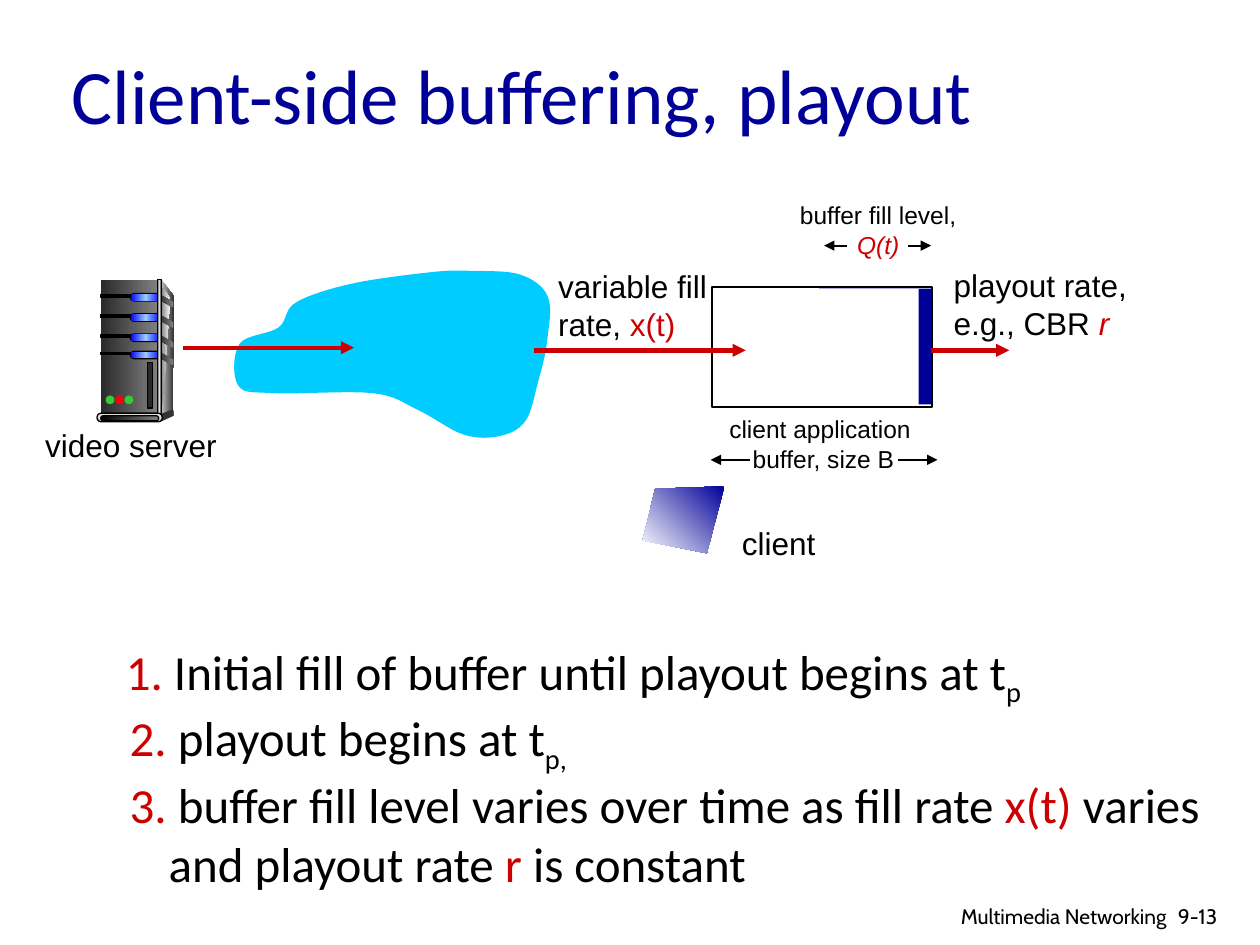
from lxml import etree
from pptx import Presentation
from pptx.dml import color
from pptx.enum import shapes, text
from pptx.oxml import ns
from pptx.util import Pt

RED, NAVY, BLACK, WHITE = "CC0000", "000099", "000000", "FFFFFF"
DARK, GRAY, PALE = "292929", "808080", "DDDDDD"
RECT = shapes.MSO_SHAPE.RECTANGLE
PILL = shapes.MSO_SHAPE.ROUNDED_RECTANGLE
OVAL = shapes.MSO_SHAPE.OVAL
LEFT, MID, RIGHT = text.PP_ALIGN.LEFT, text.PP_ALIGN.CENTER, text.PP_ALIGN.RIGHT


def rgb(code):
    return color.RGBColor.from_string(code)


def paint(part, fill=None, line=None, width=0.75, angle=0):
    """Fill with one colour, or a list of evenly spaced gradient colours."""
    part.shadow.inherit = False
    if fill is None:
        part.fill.background()
    elif isinstance(fill, str):
        part.fill.solid()
        part.fill.fore_color.rgb = rgb(fill)
    else:
        part.fill.gradient()
        part.fill.gradient_angle = angle
        stops = next(part._element.iter(ns.qn("a:gsLst")))
        for stop in list(stops):
            stops.remove(stop)
        for i, code in enumerate(fill):
            stop = etree.SubElement(stops, ns.qn("a:gs"), pos=str(i * 100000 // (len(fill) - 1)))
            etree.SubElement(stop, ns.qn("a:srgbClr"), val=code)
    if line:
        part.line.color.rgb = rgb(line)
        part.line.width = Pt(width)
    else:
        part.line.fill.background()


def block(slide, kind, x, y, w, h, fill=None, line=None, width=0.75):
    part = slide.shapes.add_shape(kind, Pt(x), Pt(y), Pt(w), Pt(h))
    if kind == PILL:
        part.adjustments[0] = 0.5
    paint(part, fill, line, width)


def outline(slide, x, y, dots, fill, angle=0):
    dots = [(Pt(x + a), Pt(y + b)) for a, b in dots]
    pen = slide.shapes.build_freeform(*dots[0])
    pen.add_line_segments(dots[1:], close=True)
    paint(pen.convert_to_shape(), fill, angle=angle)


def arrow(slide, x, end, y, code=RED, width=2.5):
    line = slide.shapes.add_connector(shapes.MSO_CONNECTOR.STRAIGHT, Pt(x), Pt(y), Pt(end), Pt(y))
    line.line.color.rgb = rgb(code)
    line.line.width = Pt(width)
    etree.SubElement(line.line._get_or_add_ln(), ns.qn("a:tailEnd"), type="triangle")
    etree.SubElement(line._element.spPr, ns.qn("a:effectLst"))


def label(slide, box, paras, size=18, font="Arial", align=LEFT, wrap=False, hang=0):
    """Each paragraph is a list of runs: (words, colour, style); hang indents the last one."""
    part = slide.shapes.add_textbox(*map(Pt, box))
    frame = part.text_frame
    frame.word_wrap = wrap
    frame.auto_size = text.MSO_AUTO_SIZE.SHAPE_TO_FIT_TEXT
    for i, runs in enumerate(paras):
        para = frame.add_paragraph() if i else frame.paragraphs[0]
        para.alignment = align
        if hang and i == len(paras) - 1:
            props = para._p.get_or_add_pPr()
            props.set("marL", str(Pt(hang)))
            props.set("indent", str(-Pt(hang)))
        for words, code, *style in runs:
            run = para.add_run()
            run.text = words
            run.font.size, run.font.name = Pt(size), font
            run.font.color.rgb = rgb(code)
            if "italic" in style:
                run.font.italic = True
            if "sub" in style:
                run._r.get_or_add_rPr().set("baseline", "-25000")
    return frame


def title(slide, box):
    frame = label(slide, box, [[("Client-side buffering, playout", NAVY)]], 44, "Calibri", wrap=True)
    frame.auto_size = text.MSO_AUTO_SIZE.NONE
    frame.vertical_anchor = text.MSO_ANCHOR.MIDDLE


def server(slide, x, y):
    # case
    outline(slide, x, y, [(36.7, 0), (43.9, 9.4), (43.2, 74.9), (35.3, 77.8)], [PALE, "333333"])
    block(slide, RECT, x + 2.2, y, 32.4, 77.8, [DARK, GRAY])
    outline(slide, x, y, [(36.7, 4.3), (38.8, 6), (41.8, 10.8), (38.8, 55), (36.7, 75.6)],
            [GRAY, "F8F8F8"])
    # drive bays, with a slat on the side for each
    for top in (8.6, 20.2, 31.7, 41.6):
        row = y + top
        block(slide, RECT, x + 2.2, row, 18.7, 1.4, BLACK, BLACK)
        block(slide, PILL, x + 18.7, row - 1, 18, 5, BLACK)
        block(slide, PILL, x + 19.2, row - 0.4, 17.3, 3.8, ["0000FF", "99CCFF", "0000FF"])
        outline(slide, x, row, [(36, 0), (43.6, 4.2), (43.6, 7.2), (35.6, 2.9)], [DARK, GRAY])
    block(slide, RECT, x + 34.6, y, 2.2, 77.8, ["333333", PALE, "333333"], BLACK)
    # foot
    block(slide, OVAL, x + 42.5, y + 74.2, 1.4, 3.6, "333333")
    outline(slide, x, y, [(36, 77), (36, 81.4), (43.9, 77.8), (43.2, 74.2)], "333333")
    block(slide, PILL, x, y + 76.3, 37.4, 5, PALE, BLACK)
    block(slide, PILL, x + 2.2, y + 77.8, 33.1, 2.9, [BLACK, GRAY], BLACK)
    # lamps and vent
    for i, code in enumerate(("33CC33", "FF0000", "33CC33")):
        block(slide, OVAL, x + 5 + 5.4 * i, y + 66.2, 5, 5, code)
    block(slide, RECT, x + 28.8, y + 47.5, 2.9, 25.9, DARK, BLACK)
    label(slide, (x - 36.7, y + 79.9, 118.1, 28.8), [[("video server", BLACK)]])


def curve(knots, steps=8):
    """Smooth closed line through the knots (Catmull-Rom)."""
    dots = []
    for i in range(len(knots)):
        quad = [knots[(i + k) % len(knots)] for k in (-1, 0, 1, 2)]
        for t in (s / steps for s in range(steps)):
            dots.append(tuple(
                b + t * (c - a + t * (2 * a - 5 * b + 4 * c - d + t * (3 * (b - c) + d - a))) / 2
                for a, b, c, d in zip(*quad)))
    return dots


def network(slide, x, y):
    knots = [(114.5, 1.4), (69.1, 7.9), (36.7, 18.7), (26.6, 33.1), (4.3, 42.5), (3.6, 66.2),
             (23.8, 70.6), (80.6, 70.6), (105.8, 79.9), (132.5, 94.3), (153.4, 95),
             (167.8, 86.4), (175, 64.1), (180, 41.8), (180.7, 15.8), (164.9, 2.9), (136.8, 0.7)]
    outline(slide, x, y, curve(knots), "00CCFF")
    arrow(slide, x - 28.1, x + 69.8, y + 44.6)


def client(slide, x, y):
    outline(slide, x, y, [(46.8, 0), (7.2, 1.4), (0, 31), (36.7, 38.2)], [NAVY, WHITE], 225)
    label(slide, (x + 49.7, y + 18, 60.5, 28.8), [[("client", BLACK)]])


def buffer(slide, x, y, w, h):
    # frame, flow in and flow out
    block(slide, RECT, x, y, w, h, None, BLACK, 1.25)
    arrow(slide, x - 101.5, x + 19.4, y + 36)
    arrow(slide, x + w - 7.2, x + w + 43.9, y + 36)
    label(slide, (x - 95, y - 15.1, 104.4, 51.1),
          [[("variable fill", BLACK)], [("rate, ", BLACK), ("x(t)", RED)]])
    label(slide, (x + w + 5, y - 15.8, 114.5, 51.1),
          [[("playout rate,", BLACK)], [("e.g., CBR ", BLACK), ("r", RED, "italic")]])
    # fill level, mostly drained
    block(slide, RECT, x + 61.2, y + 0.7, 64.1, 66.2, NAVY)
    block(slide, RECT, x + 58.3, y + 0.9, 59.8, 66.8, WHITE)
    # size and level captions
    label(slide, (x - 1.4, y + h + 0.7, 130.3, 41),
          [[("client application ", BLACK)], [("buffer, size B", BLACK)]], 14, align=MID, wrap=True)
    label(slide, (x + 38.9, y - 53.3, 112.3, 41),
          [[("buffer fill level, ", BLACK), ("Q(t)", RED, "italic")]], 14, align=MID, wrap=True)
    for start, end, row in ((106.6, 128.9, 98.6), (21.6, -0.7, 98.6),
                            (77, 64.1, -23.8), (112.3, 125.3, -23.8)):
        arrow(slide, x + start, x + end, y + row, BLACK, 1.25)


def notes(slide, x, y):
    label(slide, (x, y, 527.8, 41),
          [[("1. ", RED), ("Initial fill of buffer until playout begins at t", BLACK),
            ("p", BLACK, "sub")]], 28, "Calibri")
    label(slide, (x + 2.2, y + 38.1, 632.2, 108.7),
          [[("2. ", RED), ("playout begins at t", BLACK), ("p,", BLACK, "sub")],
           [("3. ", RED), ("buffer fill level varies over time as fill rate ", BLACK),
            ("x(t) ", RED), ("varies and playout rate ", BLACK), ("r", RED),
            (" is constant", BLACK)]], 28, "Calibri", wrap=True, hang=22.3)


def footer(slide, x, y):
    label(slide, (x, y, 155.5, 20.2), [[("Multimedia Networking", BLACK)]], 12, "Cabin", RIGHT, True)
    label(slide, (x + 147.6, y, 54, 21.6), [[("9-13", BLACK)]], 12, "Cabin", wrap=True)


def main():
    deck = Presentation()
    deck.slide_width, deck.slide_height = Pt(720), Pt(540)
    slide = deck.slides.add_slide(deck.slide_layouts[6])
    title(slide, (33.8, 8.6, 612, 90))
    server(slide, 55.4, 159.8)
    network(slide, 132.5, 154.1)
    client(slide, 367.2, 277.9)
    buffer(slide, 406.8, 164.2, 126, 68.4)
    notes(slide, 64.8, 362.9)
    footer(slide, 518.4, 512.6)
    deck.save("out.pptx")


if __name__ == "__main__":
    main()
